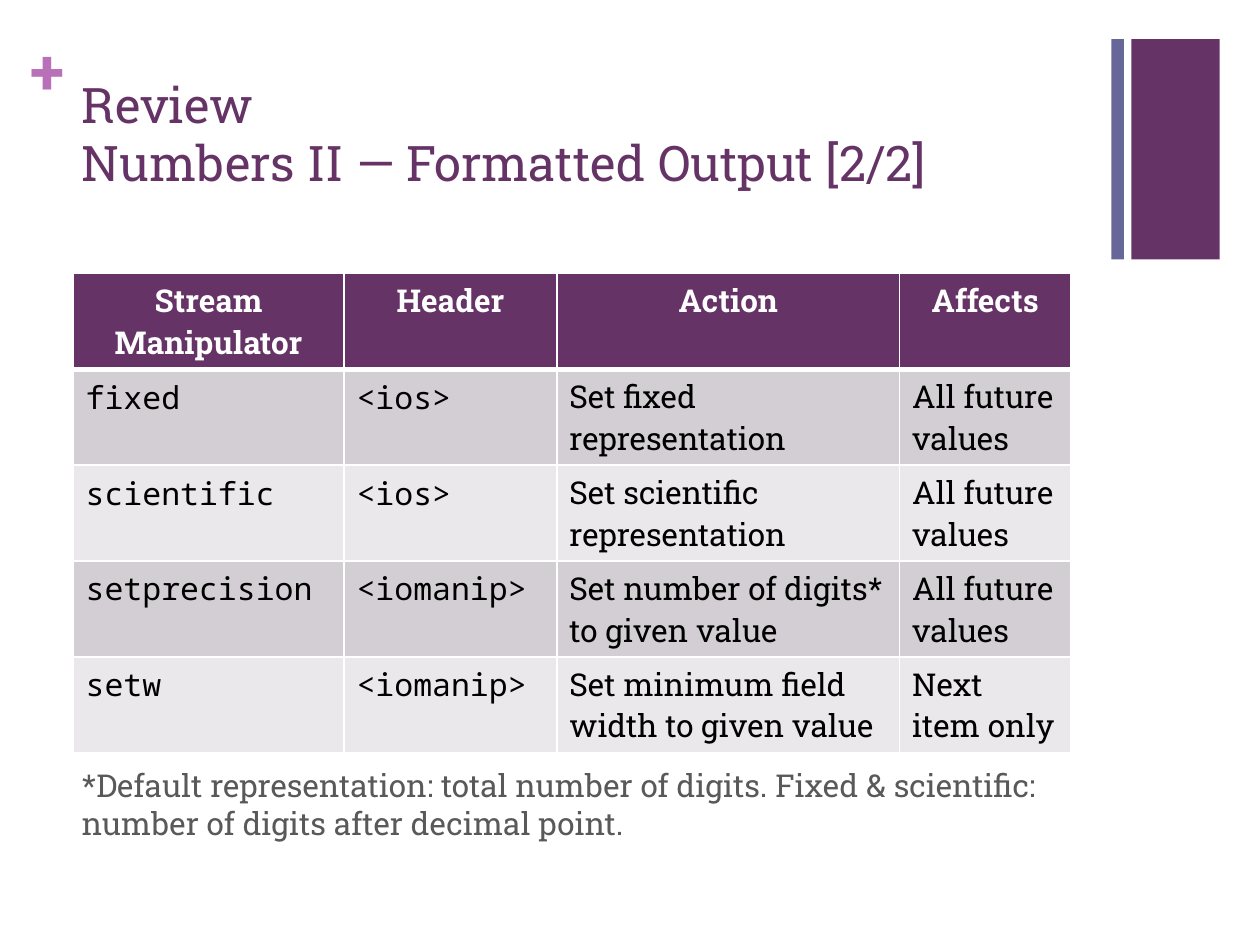
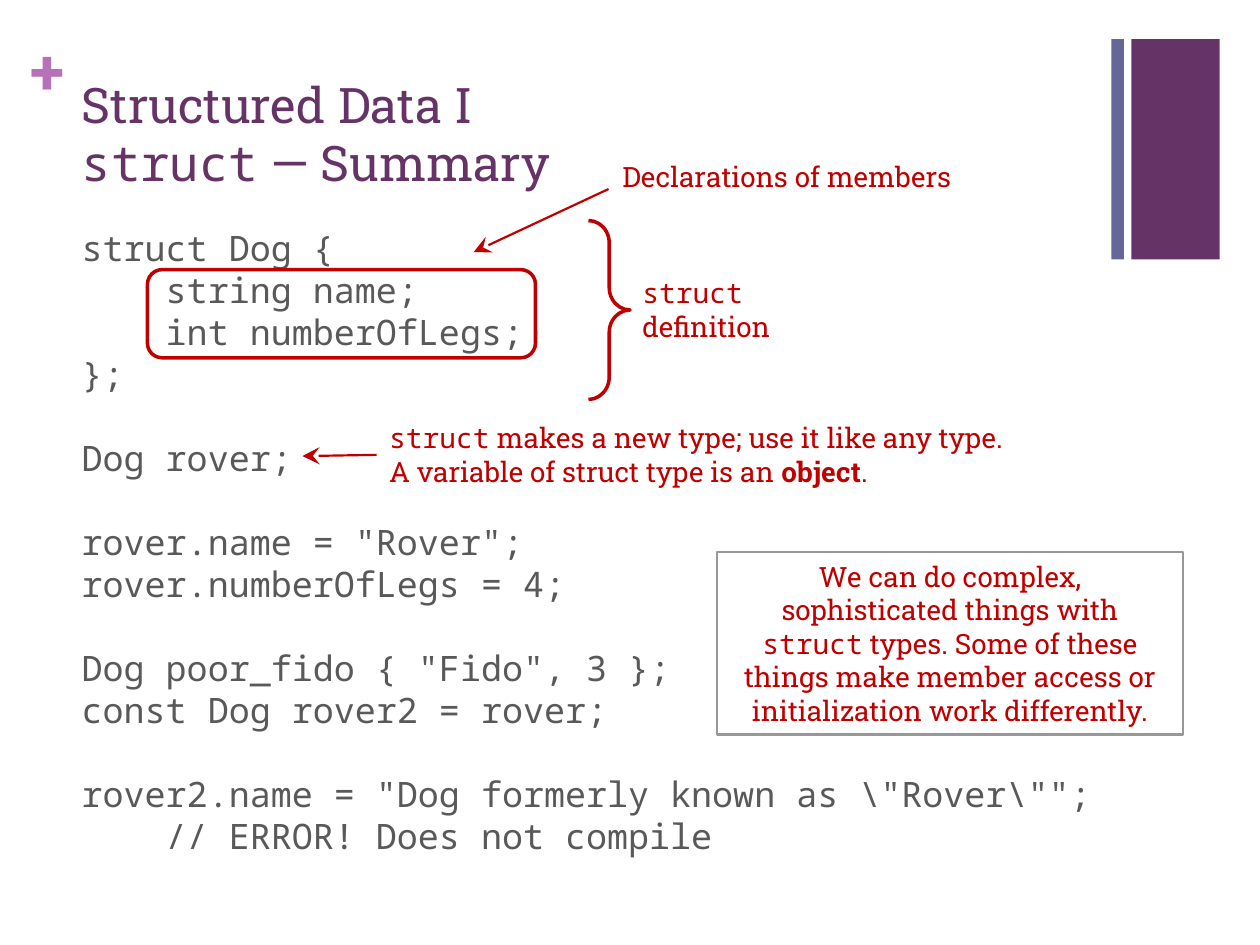
from typing import NamedTuple

from lxml import etree
from pptx import Presentation
from pptx.dml.color import RGBColor
from pptx.enum import shapes, text
from pptx.oxml import ns
from pptx.util import Inches, Pt

PURPLE = RGBColor(0x66, 0x33, 0x66)
SLATE = RGBColor(0x66, 0x66, 0x99)
ORCHID = RGBColor(0xB8, 0x70, 0xB8)
BODY_GRAY = RGBColor(0x59, 0x59, 0x59)
FRAME_GRAY = RGBColor(0x98, 0x98, 0x98)
RED = RGBColor(0xC0, 0x00, 0x00)
WHITE = RGBColor(0xFF, 0xFF, 0xFF)
BLACK = RGBColor(0x00, 0x00, 0x00)
ROW_FILLS = (RGBColor(0xD3, 0xCE, 0xD3), RGBColor(0xEA, 0xE8, 0xEA))

SLAB = "Roboto Slab"
MONO = "Noto Sans Mono"


class Span(NamedTuple):
    text: str
    font: str = SLAB
    bold: bool = False


class Area(NamedTuple):
    left: float
    top: float
    width: float
    height: float

    def lengths(self) -> list:
        return [Inches(value) for value in self]


class Band(NamedTuple):
    area: Area
    color: RGBColor


class Note(NamedTuple):
    area: Area
    spans: list


class Arrow(NamedTuple):
    start: tuple
    end: tuple


BANDS = (
    Band(Area(8.98, 0.31, 0.7, 1.75), PURPLE),
    Band(Area(8.82, 0.31, 0.1, 1.75), SLATE),
)
PLUS_AREA = Area(0.24, 0.25, 0.29, 0.61)
TITLE_AREA = Area(0.55, 0.53, 8.26, 1.05)

COLUMN_WIDTHS = (2.15, 1.69, 2.72, 1.36)
ROW_HEIGHT = 0.76
COLUMN_FONTS = (MONO, MONO, SLAB, SLAB)
MANIPULATORS = (
    ("Stream\nManipulator", "Header", "Action", "Affects"),
    ("fixed", "<ios>", "Set fixed representation", "All future values"),
    ("scientific", "<ios>", "Set scientific representation", "All future values"),
    ("setprecision", "<iomanip>", "Set number of digits* to given value", "All future values"),
    ("setw", "<iomanip>", "Set minimum field width to given value", "Next item only"),
)
FOOTNOTE = (
    "*Default representation: total number of digits. "
    "Fixed & scientific: number of digits after decimal point."
)

CODE_BLOCKS = (
    "struct Dog {\n    string name;\n    int numberOfLegs;\n};",
    "Dog rover;",
    'rover.name = "Rover";\nrover.numberOfLegs = 4;',
    'Dog poor_fido { "Fido", 3 };\nconst Dog rover2 = rover;',
    'rover2.name = "Dog formerly known as \\"Rover\\"";\n    // ERROR! Does not compile',
)
NOTES = (
    Note(Area(5, 2.14, 1.42, 0.64), [Span("struct", MONO), Span(" definition")]),
    Note(Area(4.84, 1.22, 3.25, 0.37), [Span("Declarations of members")]),
    Note(Area(2.99, 3.29, 5.1, 0.64), [
        Span("struct", MONO),
        Span(" makes a new type; use it like any type. A variable of struct type is an "),
        Span("object", bold=True),
        Span("."),
    ]),
)
ARROWS = (Arrow((4.83, 1.5), (3.76, 2)), Arrow((2.99, 3.61), (2.4, 3.62)))
REMARK = (
    [Span("We can do complex,")],
    [Span("sophisticated things with")],
    [
        Span("struct", MONO),
        Span(" types. Some of these things make member access or initialization work differently."),
    ],
)


def write(frame, paragraphs, *, size: float, color: RGBColor, align=text.PP_ALIGN.LEFT,
          anchor=text.MSO_ANCHOR.TOP, gap: float = 0, wrap: bool = True) -> None:
    frame.word_wrap = wrap
    frame.auto_size = text.MSO_AUTO_SIZE.NONE
    frame.vertical_anchor = anchor
    for index, spans in enumerate(paragraphs):
        para = frame.add_paragraph() if index else frame.paragraphs[0]
        para.alignment = align
        para.space_before = Pt(gap if index else 0)
        for span in spans:
            for number, line in enumerate(span.text.split("\n")):
                if number:
                    para.add_line_break()
                if not line:
                    continue
                run = para.add_run()
                run.text = line
                run.font.size = Pt(size)
                run.font.name = span.font
                run.font.bold = span.bold
                run.font.color.rgb = color


def add_text(page, area: Area, paragraphs, **style):
    box = page.shapes.add_textbox(*area.lengths())
    write(box.text_frame, paragraphs, **style)
    return box


def add_outline(page, kind, area: Area, color: RGBColor, width: float):
    shape = page.shapes.add_shape(kind, *area.lengths())
    shape.shadow.inherit = False
    shape.fill.background()
    shape.line.color.rgb = color
    shape.line.width = Pt(width)
    return shape


def add_band(page, band: Band) -> None:
    shape = page.shapes.add_shape(shapes.MSO_SHAPE.RECTANGLE, *band.area.lengths())
    shape.shadow.inherit = False
    shape.fill.solid()
    shape.fill.fore_color.rgb = band.color
    shape.line.fill.background()


def add_arrow(page, arrow: Arrow) -> None:
    points = [Inches(value) for value in arrow.start + arrow.end]
    line = page.shapes.add_connector(shapes.MSO_CONNECTOR.STRAIGHT, *points)
    line.line.color.rgb = RED
    line.line.width = Pt(1.25)
    etree.SubElement(line.line._get_or_add_ln(), ns.qn("a:tailEnd"),
                     type="stealth", w="lg", len="lg")
    etree.SubElement(line._element.spPr, ns.qn("a:effectLst"))


def add_page(deck, title_spans):
    page = deck.slides.add_slide(deck.slide_layouts[5])
    for band in BANDS:
        add_band(page, band)
    plus = add_text(page, PLUS_AREA, [[Span("+", bold=True)]], size=36, color=ORCHID, wrap=False)
    frame = plus.text_frame
    frame.margin_left = frame.margin_top = frame.margin_right = frame.margin_bottom = 0
    title = page.shapes.title
    title.left, title.top, title.width, title.height = TITLE_AREA.lengths()
    write(title.text_frame, [title_spans], size=28, color=PURPLE, anchor=text.MSO_ANCHOR.MIDDLE)
    return page


def format_cell(cell, row: int, fill: RGBColor) -> None:
    properties = cell._tc.get_or_add_tcPr()
    widths = {"L": 1, "R": 1, "T": 3 if row == 1 else 1, "B": 3 if row == 0 else 1}
    for side, width in widths.items():
        border = etree.SubElement(properties, ns.qn(f"a:ln{side}"), w=str(Pt(width)))
        paint = etree.SubElement(border, ns.qn("a:solidFill"))
        etree.SubElement(paint, ns.qn("a:srgbClr"), val=str(WHITE))
    cell.fill.solid()
    cell.fill.fore_color.rgb = fill


def add_manipulator_table(page) -> None:
    area = Area(0.58, 2.17, sum(COLUMN_WIDTHS), ROW_HEIGHT * len(MANIPULATORS))
    table = page.shapes.add_table(len(MANIPULATORS), len(COLUMN_WIDTHS), *area.lengths()).table
    for column, width in zip(table.columns, COLUMN_WIDTHS):
        column.width = Inches(width)
    for row, values in enumerate(MANIPULATORS):
        table.rows[row].height = Inches(ROW_HEIGHT)
        header = row == 0
        for column, value in enumerate(values):
            cell = table.cell(row, column)
            format_cell(cell, row, PURPLE if header else ROW_FILLS[(row - 1) % 2])
            span = Span(value, SLAB if header else COLUMN_FONTS[column], header)
            write(cell.text_frame, [[span]], size=18, color=WHITE if header else BLACK,
                  align=text.PP_ALIGN.CENTER if header else text.PP_ALIGN.LEFT)


def build_output_page(deck) -> None:
    page = add_page(deck, [Span("Review\nNumbers II — Formatted Output [2/2]")])
    footnote_area = Area(0.55, 6.03, 8.26, 0.9)
    add_text(page, footnote_area, [[Span(FOOTNOTE)]], size=18, color=BODY_GRAY)
    add_manipulator_table(page)


def build_struct_page(deck) -> None:
    page = add_page(deck, [Span("Structured Data I\n"), Span("struct", MONO), Span(" — Summary")])
    add_text(page, Area(0.55, 1.75, 8.26, 5.17), [[Span(block, MONO)] for block in CODE_BLOCKS],
             size=20, color=BODY_GRAY, gap=24)
    brace = add_outline(page, shapes.MSO_SHAPE.LEFT_BRACE, Area(4.67, 1.75, 0.33, 1.42), RED, 2)
    brace.rotation = 180
    brace.adjustments[0] = 0.54
    add_outline(page, shapes.MSO_SHAPE.ROUNDED_RECTANGLE, Area(1.17, 2.14, 3.08, 0.7), RED, 2)
    for arrow in ARROWS:
        add_arrow(page, arrow)
    for note in NOTES:
        add_text(page, note.area, [note.spans], size=16, color=RED)
    remark = add_outline(page, shapes.MSO_SHAPE.RECTANGLE, Area(5.69, 4.38, 3.7, 1.45),
                         FRAME_GRAY, 1.25)
    write(remark.text_frame, REMARK, size=16, color=RED,
          align=text.PP_ALIGN.CENTER, anchor=text.MSO_ANCHOR.MIDDLE)


def main() -> None:
    deck = Presentation()
    deck.slide_width, deck.slide_height = Inches(10), Inches(7.5)
    build_output_page(deck)
    build_struct_page(deck)
    deck.save("out.pptx")


if __name__ == "__main__":
    main()
